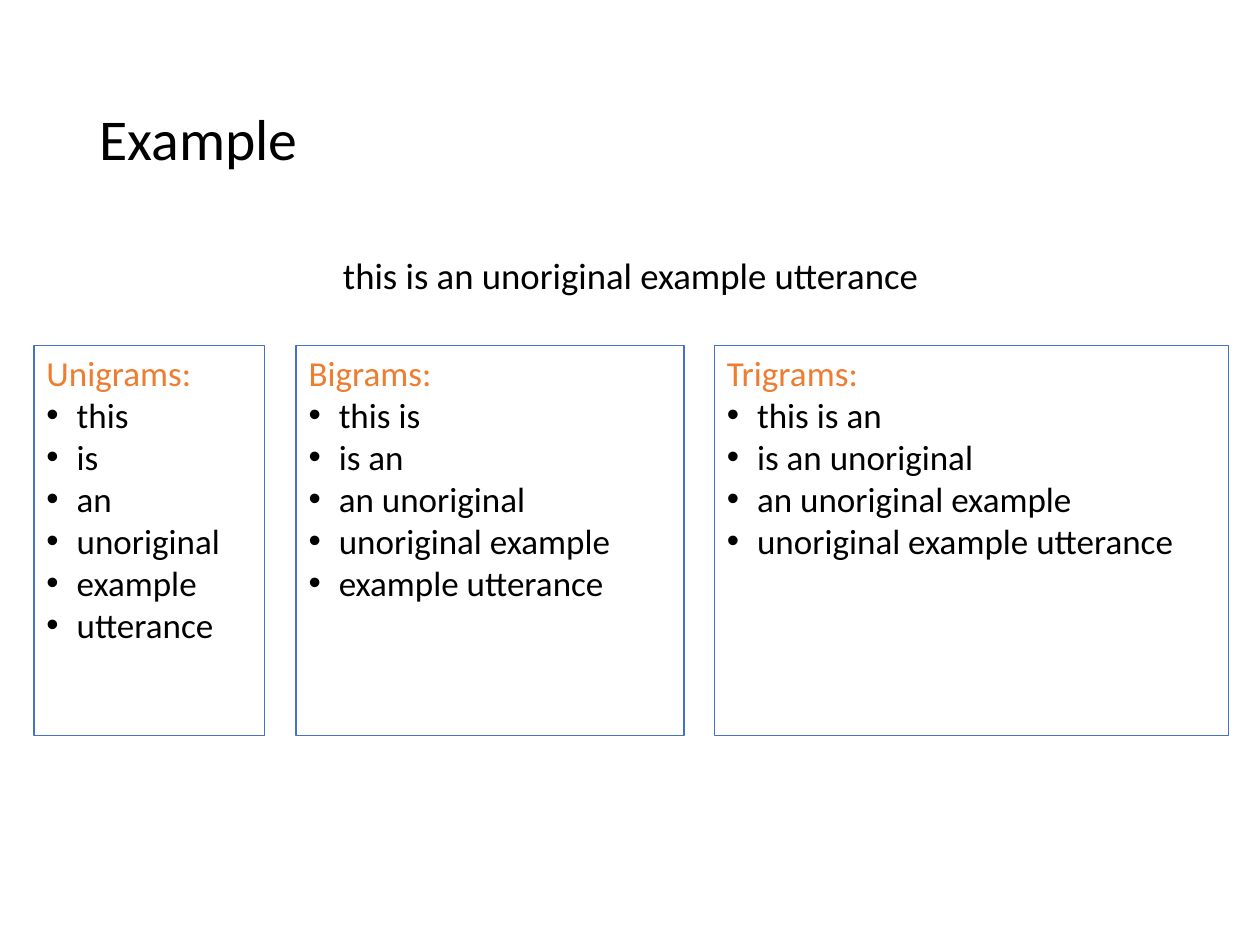
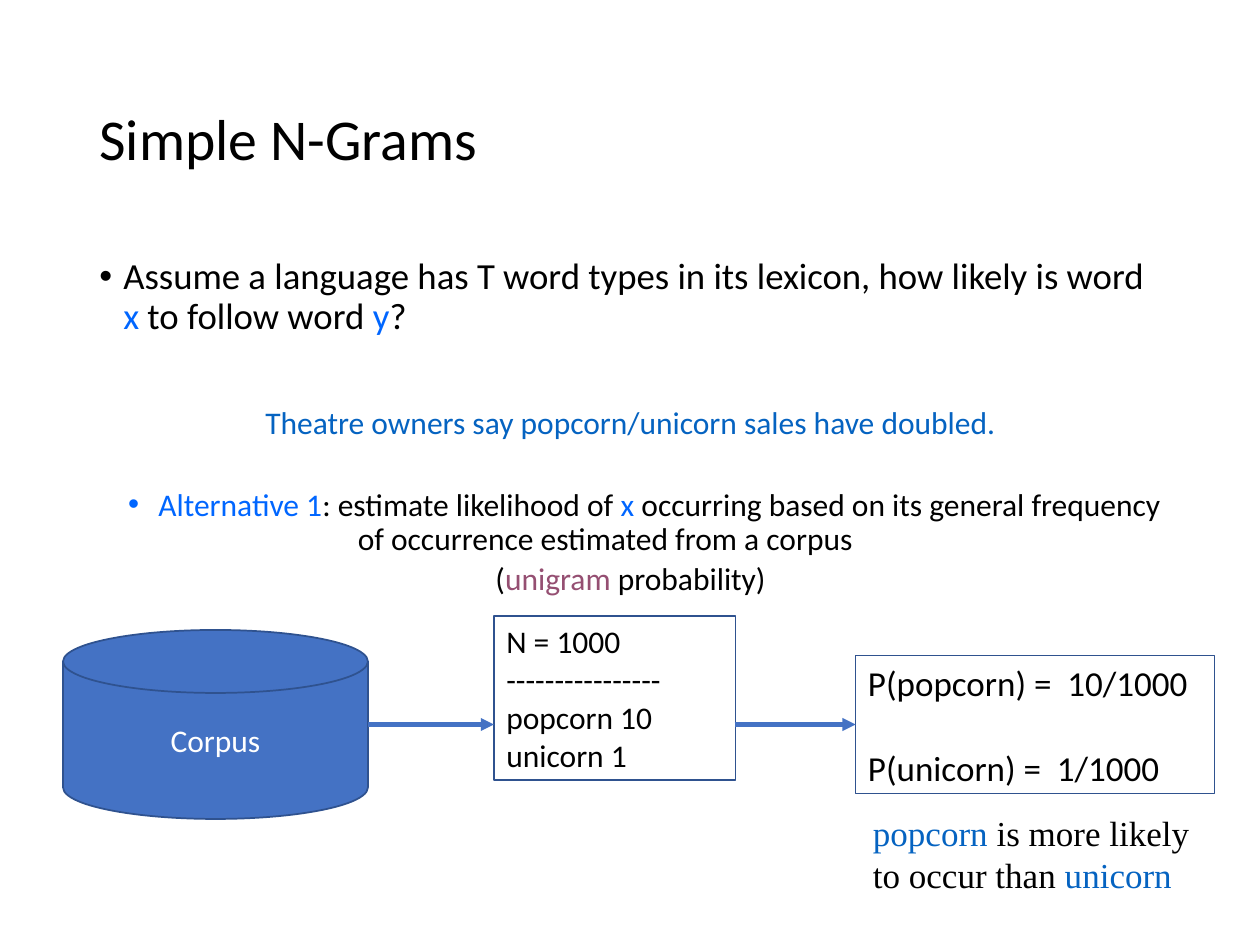
from lxml.etree import SubElement
from pptx import Presentation
from pptx.dml.color import RGBColor
from pptx.enum.shapes import MSO_CONNECTOR, MSO_SHAPE
from pptx.enum.text import MSO_ANCHOR, PP_ALIGN
from pptx.oxml.ns import qn
from pptx.util import Inches, Pt

BLACK, WHITE = "000000", "FFFFFF"
BLUE, DARK_BLUE = "4472C4", "2F528F"
BRIGHT_BLUE, LINK_BLUE = "0066FF", "0563C1"
ORANGE, PURPLE = "ED7D31", "954F72"
BODY_FONT, NOTE_FONT = "Calibri", "Times New Roman"
LEFT, WIDTH = 0.69, 8.63


def colour(value):
    return RGBColor.from_string(value)


def set_frame(box, anchor=MSO_ANCHOR.TOP):
    frame = box.text_frame
    frame.word_wrap = True
    frame.vertical_anchor = anchor
    frame.margin_left = frame.margin_right = Inches(0.1)
    frame.margin_top = frame.margin_bottom = Inches(0.05)
    return box


def add_text_box(page, left, top, width, height, anchor=MSO_ANCHOR.TOP):
    box = page.shapes.add_textbox(Inches(left), Inches(top), Inches(width), Inches(height))
    return set_frame(box, anchor)


def add_outlined(page, kind, left, top, width, height, line, weight=0.75, fill=None,
                 anchor=MSO_ANCHOR.TOP):
    box = page.shapes.add_shape(kind, Inches(left), Inches(top), Inches(width), Inches(height))
    box.shadow.inherit = False
    if fill:
        box.fill.solid()
        box.fill.fore_color.rgb = colour(fill)
    else:
        box.fill.background()
    box.line.color.rgb = colour(line)
    box.line.width = Pt(weight)
    return set_frame(box, anchor)


def add_bullet(para, margin, hanging, bullet_colour):
    props = para._p.get_or_add_pPr()
    props.set("marL", str(Inches(margin)))
    props.set("indent", str(-Inches(hanging)))
    tint = SubElement(props, qn("a:buClr"))
    SubElement(tint, qn("a:srgbClr"), val=bullet_colour)
    SubElement(props, qn("a:buFont"), typeface="Arial")
    SubElement(props, qn("a:buChar"), char="•")


def add_tab_stops(para, step, count):
    stops = SubElement(para._p.get_or_add_pPr(), qn("a:tabLst"))
    for number in range(1, count + 1):
        SubElement(stops, qn("a:tab"), pos=str(Inches(step * number)), algn="l")


def add_para(box, spans, size, align=PP_ALIGN.LEFT, before=0, spacing=1.0,
             bullet=None, tab_step=None, font=BODY_FONT):
    frame = box.text_frame
    first = frame.paragraphs[0]
    para = frame.add_paragraph() if first.runs else first
    para.alignment = align
    para.line_spacing = spacing
    para.space_before = Pt(before)
    if bullet:
        add_bullet(para, *bullet)
    if tab_step:
        add_tab_stops(para, tab_step, 8)
    for text, tint in spans:
        span = para.add_run()
        span.text = text
        span.font.name = font
        span.font.size = Pt(size)
        span.font.color.rgb = colour(tint)


def add_title(page, text):
    box = add_text_box(page, LEFT, 0.4, WIDTH, 1.45, MSO_ANCHOR.MIDDLE)
    add_para(box, [(text, BLACK)], 33, spacing=0.9)


def add_arrow(page, start, end, height):
    arrow = page.shapes.add_connector(MSO_CONNECTOR.STRAIGHT, Inches(start), Inches(height),
                                      Inches(end), Inches(height))
    arrow.line.color.rgb = colour(BLUE)
    arrow.line.width = Pt(2.5)
    SubElement(arrow.line._get_or_add_ln(), qn("a:tailEnd"), type="triangle")
    SubElement(arrow._element.spPr, qn("a:effectLst"))


def add_gram_list(page, heading, words, length, left, width):
    box = add_outlined(page, MSO_SHAPE.RECTANGLE, left, 2.74, width, 3.1, BLUE)
    add_para(box, [(heading, ORANGE)], 20)
    for start in range(len(words) - length + 1):
        gram = " ".join(words[start:start + length])
        add_para(box, [(gram, BLACK)], 20, bullet=(0.24, 0.24, BLACK))


def build_example(page):
    utterance = "this is an unoriginal example utterance"
    add_title(page, "Example")
    box = add_text_box(page, LEFT, 2, WIDTH, 0.5)
    add_para(box, [(utterance, BLACK)], 21, PP_ALIGN.CENTER, spacing=0.9)
    columns = [("Unigrams:", 0.27, 1.83), ("Bigrams:", 2.35, 3.08), ("Trigrams:", 5.67, 4.08)]
    for length, (heading, left, width) in enumerate(columns, 1):
        add_gram_list(page, heading, utterance.split(), length, left, width)


def add_question(page):
    box = add_text_box(page, LEFT, 2, WIDTH, 3.12)
    add_para(box, [("Assume a language has T word types in its lexicon, how likely is word ", BLACK),
                   ("x", BRIGHT_BLUE), (" to follow word ", BLACK),
                   ("y", BRIGHT_BLUE), ("?", BLACK)],
             21, spacing=0.9, bullet=(0.19, 0.19, BLACK))
    add_para(box, [("Theatre owners say popcorn/unicorn sales have doubled.", LINK_BLUE)],
             18, PP_ALIGN.CENTER, before=39.8, spacing=0.9)
    add_para(box, [("Alternative 1", BRIGHT_BLUE), (": estimate likelihood of ", BLACK),
                   ("x", BRIGHT_BLUE),
                   (" occurring based on its general frequency of occurrence "
                    "estimated from a corpus \t\t", BLACK)],
             18, PP_ALIGN.CENTER, before=27.2, spacing=0.9,
             bullet=(0.46, 0.24, BRIGHT_BLUE), tab_step=0.75)
    add_para(box, [("(", BLACK), ("unigram", PURPLE), (" probability)", BLACK)],
             18, PP_ALIGN.CENTER, before=3.7, spacing=0.9)


def build_simple_grams(page):
    add_title(page, "Simple N-Grams")
    add_question(page)
    corpus = add_outlined(page, MSO_SHAPE.FLOWCHART_MAGNETIC_DISK, 0.5, 5, 2.42, 1.5,
                          DARK_BLUE, 1, BLUE, MSO_ANCHOR.MIDDLE)
    add_para(corpus, [("Corpus", WHITE)], 18, PP_ALIGN.CENTER)
    counts = add_outlined(page, MSO_SHAPE.RECTANGLE, 3.92, 4.89, 1.92, 1.3, DARK_BLUE)
    for text in ("N = 1000", "----------------", "popcorn 10", "unicorn 1"):
        add_para(counts, [(text, BLACK)], 18)
    chances = add_outlined(page, MSO_SHAPE.RECTANGLE, 6.79, 5.2, 2.85, 1.1, DARK_BLUE)
    add_para(chances, [("P(popcorn) =  10/1000", BLACK)], 20)
    add_para(chances, [("P(unicorn) =  1/1000", BLACK)], 20, before=24.4)
    for start, end in ((2.92, 3.92), (5.83, 6.79)):
        add_arrow(page, start, end, 5.75)
    note = add_text_box(page, 6.83, 6.39, 2.84, 0.77)
    add_para(note, [("popcorn", LINK_BLUE), (" is more likely to occur than ", BLACK),
                    ("unicorn", LINK_BLUE)], 20, font=NOTE_FONT)


def main():
    deck = Presentation()
    deck.slide_width, deck.slide_height = Inches(10), Inches(7.5)
    for build in (build_example, build_simple_grams):
        build(deck.slides.add_slide(deck.slide_layouts[6]))
    deck.save("out.pptx")


if __name__ == "__main__":
    main()
